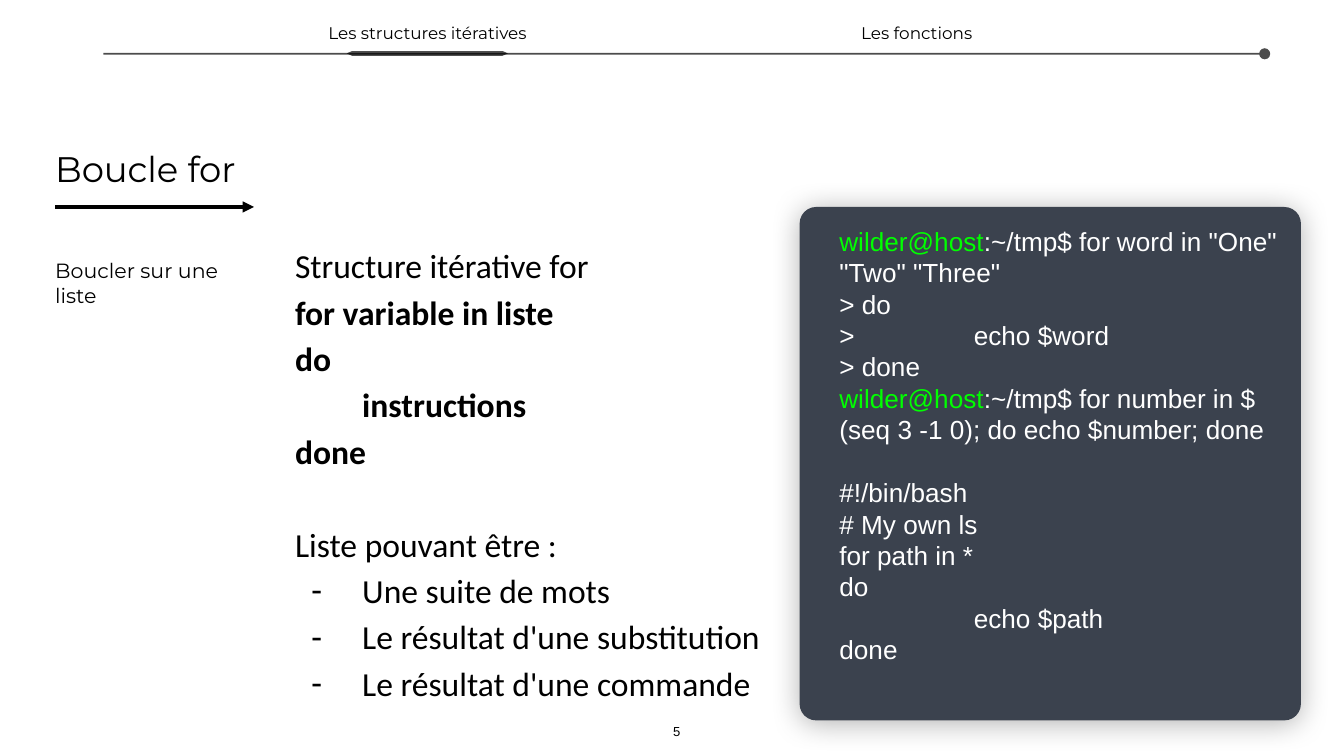
from dataclasses import dataclass

from lxml.etree import SubElement
from pptx import Presentation
from pptx.dml.color import RGBColor
from pptx.enum.shapes import MSO_CONNECTOR as Connector, MSO_SHAPE as Shape
from pptx.enum.text import MSO_ANCHOR as Anchor, MSO_AUTO_SIZE as AutoSize, PP_ALIGN as Align
from pptx.oxml.ns import qn
from pptx.util import Inches, Pt


@dataclass(frozen=True)
class Theme:
    ink: str = "000000"
    paper: str = "FFFFFF"
    panel: str = "3B424E"
    prompt: str = "00FF00"
    heading: str = "Montserrat"
    body: str = "Calibri"
    code: str = "Arial"
    title_size: float = 19
    body_size: float = 18
    code_size: float = 14
    subtitle_size: float = 11
    tab_size: float = 9
    number_size: float = 7


THEME = Theme()
WIDTH = 10
HEIGHT = WIDTH * 9 / 16
COLUMNS = 100
INDENT = 0.5

TABS = [("Les structures itératives", 17.9), ("Les fonctions", 54.3)]
INTRO = "Structure itérative for"
SYNTAX = ["for variable in liste", "do", "instructions", "done"]
LIST_KINDS = ["Une suite de mots", "Le résultat d'une substitution", "Le résultat d'une commande"]
PROMPT = "wilder@host"
SESSION = [
    PROMPT + ':~/tmp$ for word in "One" "Two" "Three"',
    "> do",
    "> \techo $word",
    "> done",
    PROMPT + ":~/tmp$ for number in $(seq 3 -1 0); do echo $number; done",
]
SCRIPT = ["#!/bin/bash", "# My own ls", "for path in *", "do", "\techo $path", "done"]


def grid(*cells):
    """Turn counts of square cells, 100 to the slide's width, into lengths."""
    return [Inches(cell * WIDTH / COLUMNS) for cell in cells]


def set_all(target, values):
    for name, value in values.items():
        setattr(target, name, value)


def add_xml(parent, tag, **attributes):
    return SubElement(parent, qn(tag), attributes)


def set_alpha(fill_parent, percent):
    color = fill_parent.find(".//" + qn("a:srgbClr"))
    add_xml(color, "a:alpha", val=str(percent * 1000))


def place(shape, cells):
    set_all(shape, dict(zip(("left", "top", "width", "height"), grid(*cells))))


def format_frame(frame, insets, anchor=Anchor.MIDDLE, fit=AutoSize.NONE):
    sides = ("margin_left", "margin_top", "margin_right", "margin_bottom")
    set_all(frame, {side: Inches(inset) for side, inset in zip(sides, insets)})
    set_all(frame, {"word_wrap": True, "vertical_anchor": anchor, "auto_size": fit})


def next_paragraph(frame):
    first = frame.paragraphs[0]
    return frame.add_paragraph() if first.runs else first


def add_span(para, text, font, size, color=THEME.ink, bold=False):
    span = para.add_run()
    span.text = text
    set_all(span.font, {"name": font, "size": Pt(size), "bold": bold})
    span.font.color.rgb = RGBColor.from_string(color)


def add_label(box, cells, text, font, size, align=Align.LEFT, anchor=Anchor.MIDDLE):
    place(box, cells)
    format_frame(box.text_frame, [0.02] * 4, anchor, AutoSize.SHAPE_TO_FIT_TEXT)
    para = box.text_frame.paragraphs[0]
    set_all(para, {"alignment": align, "space_before": Pt(0)})
    add_span(para, text, font, size)
    set_indent(para)
    add_xml(para._p.get_or_add_pPr(), "a:buNone")


def set_indent(para, left=0, first=0):
    properties = para._p.get_or_add_pPr()
    properties.set("marL", str(Inches(left)))
    properties.set("indent", str(Inches(first)))


def add_body_line(frame, text, bold=False, left=0, first=0, bullet=False, before=0, intro=""):
    """Add a paragraph; an intro stands in regular type on a line of its own above the text."""
    para = next_paragraph(frame)
    set_all(para, {"line_spacing": 1.15, "space_before": Pt(before), "alignment": Align.LEFT})
    if intro:
        add_span(para, intro, THEME.body, THEME.body_size)
        para.add_line_break()
    add_span(para, text, THEME.body, THEME.body_size, bold=bold)
    set_indent(para, left, first)
    properties = para._p.get_or_add_pPr()
    if bullet:
        add_xml(add_xml(properties, "a:buClr"), "a:srgbClr", val=THEME.ink)
        add_xml(properties, "a:buChar", char="-")
    else:
        add_xml(properties, "a:buNone")


def fill_lesson(body):
    place(body, (21.55, 15.95, 38, 38.2))
    frame = body.text_frame
    format_frame(frame, [0.04] * 4)
    for text in SYNTAX:
        add_body_line(frame, text, bold=True, first=INDENT if text == "instructions" else 0,
                      intro=INTRO if text == SYNTAX[0] else "")
    add_body_line(frame, "Liste pouvant être :", before=25)
    for text in LIST_KINDS:
        add_body_line(frame, text, left=INDENT, first=-0.38, bullet=True)


def add_code_line(frame, text, before=0):
    """Add a line of code, with a leading prompt in its own colour."""
    para = next_paragraph(frame)
    set_all(para, {"alignment": Align.LEFT, "space_before": Pt(before)})
    stops = add_xml(para._p.get_or_add_pPr(), "a:tabLst")
    add_xml(stops, "a:tab", pos=str(Inches(1)), algn="l")
    if text.startswith(PROMPT):
        add_span(para, PROMPT, THEME.code, THEME.code_size, THEME.prompt)
        text = text.removeprefix(PROMPT)
    add_span(para, text, THEME.code, THEME.code_size, THEME.paper)


def add_terminal(page):
    panel = page.shapes.add_shape(Shape.ROUNDED_RECTANGLE, *grid(59.5, 15.4, 37.3, 38.2))
    panel.adjustments[0] = 0.033
    panel.fill.solid()
    panel.fill.fore_color.rgb = RGBColor.from_string(THEME.panel)
    panel.line.fill.background()
    panel.shadow.inherit = False
    effects = panel._element.spPr.find(qn("a:effectLst"))
    shadow = add_xml(effects, "a:outerShdw", blurRad=str(Pt(15.8)), dist=str(Pt(1.5)),
                     dir="5400000", algn="bl", rotWithShape="0")
    add_xml(shadow, "a:srgbClr", val=THEME.ink)
    set_alpha(shadow, 30)
    frame = panel.text_frame
    format_frame(frame, (0.26, 0.1, 0.1, 0.1), Anchor.TOP)
    for text in SESSION:
        add_code_line(frame, text)
    for text in SCRIPT:
        add_code_line(frame, text, before=17 if text == SCRIPT[0] else 0)


def add_rule(page, left, right, row, weight, ending, alpha=100):
    rule = page.shapes.add_connector(Connector.STRAIGHT, *grid(left, row, right, row))
    rule.line.width = Pt(weight)
    rule.line.color.rgb = RGBColor.from_string(THEME.ink)
    properties = rule._element.spPr
    stroke = properties.find(qn("a:ln"))
    if alpha < 100:
        set_alpha(stroke, alpha)
    add_xml(stroke, "a:tailEnd", type=ending)
    add_xml(properties, "a:effectLst")


def add_marker(page):
    """Draw the thin bar with tapered ends under the current section."""
    left, right, top, bottom = 25.8, 37.8, 3.8, 4.15
    middle, taper = (top + bottom) / 2, 0.4
    corners = [(left + taper, top), (right - taper, top), (right, middle),
               (right - taper, bottom), (left + taper, bottom), (left, middle)]
    points = [grid(*corner) for corner in corners]
    builder = page.shapes.build_freeform(*points[0])
    builder.add_line_segments(points[1:], close=True)
    marker = builder.convert_to_shape()
    marker.shadow.inherit = False
    marker.line.fill.background()
    marker.fill.solid()
    marker.fill.fore_color.rgb = RGBColor.from_string(THEME.ink)
    set_alpha(marker._element.spPr, 69)


def add_text_box(page):
    return page.shapes.add_textbox(0, 0, 0, 0)


def main():
    deck = Presentation()
    set_all(deck, {"slide_width": Inches(WIDTH), "slide_height": Inches(HEIGHT)})
    page = deck.slides.add_slide(deck.slide_layouts.get_by_name("Two Content"))
    title, subtitle, lesson = page.placeholders

    add_rule(page, 4.1, 18.9, 15.4, 2, "triangle")
    add_label(title, (3.9, 10.7, 83.1, 3.6), "Boucle for", THEME.heading, THEME.title_size)
    add_label(subtitle, (3.9, 19, 14.4, 4.1), "Boucler sur une liste",
              THEME.heading, THEME.subtitle_size)
    fill_lesson(lesson)
    add_label(add_text_box(page), (49.2, 53.6, 2.3, 1.6), "5", THEME.code,
              THEME.number_size, Align.CENTER, Anchor.BOTTOM)
    add_terminal(page)

    add_rule(page, 7.7, 94.1, 4, 1, "oval", alpha=70)
    add_marker(page)
    for text, left in TABS:
        add_label(add_text_box(page), (left, 1.5, 27.8, 1.9), text, THEME.heading,
                  THEME.tab_size, Align.CENTER)
    deck.save("out.pptx")


if __name__ == "__main__":
    main()
